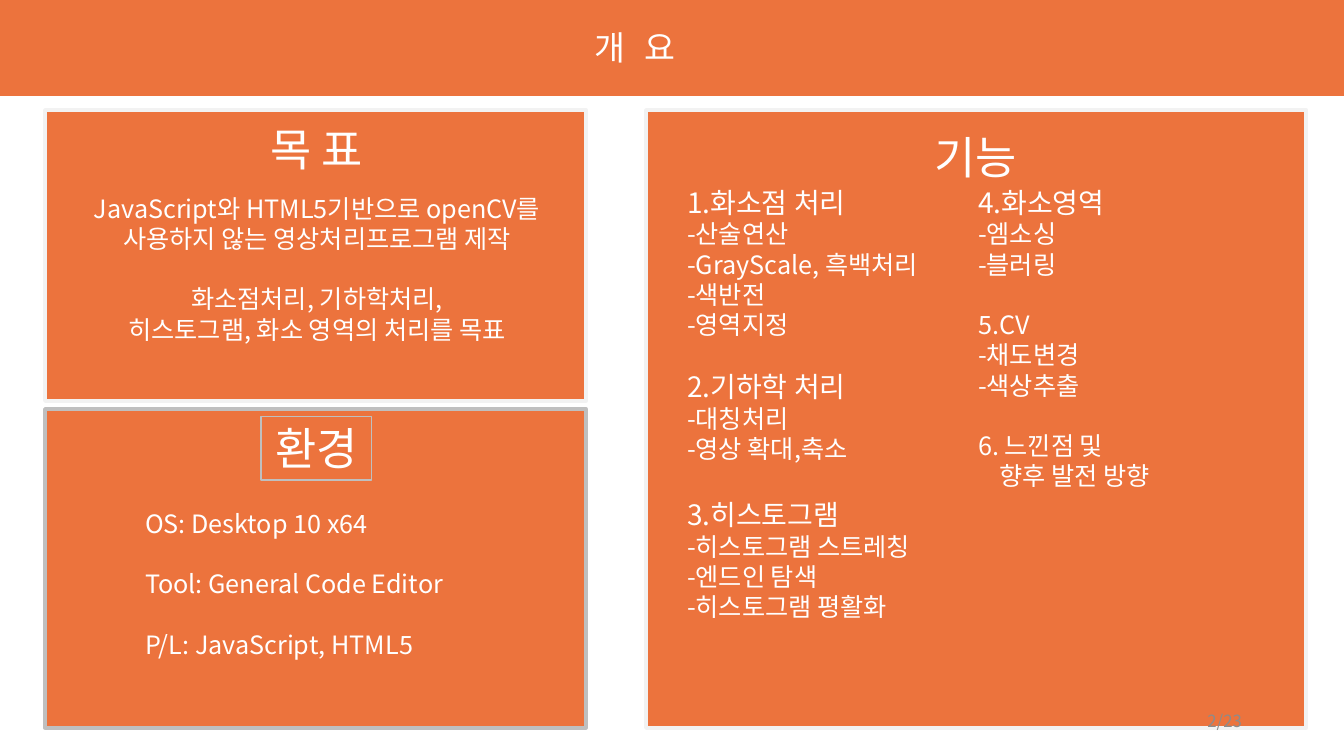
from lxml import etree
from pptx import Presentation
from pptx import util as u
from pptx.dml.color import RGBColor
from pptx.enum import shapes, text
from pptx.oxml.ns import qn

ORANGE, WHITE, PALE, SILVER, GRAY = "EC733D", "FFFFFF", "F2F2F2", "BFBFBF", "8C8C8C"
FONT = "Noto Sans CJK KR"
PX = 914400 / 100.8
LEFT, MID, RIGHT = text.PP_ALIGN.LEFT, text.PP_ALIGN.CENTER, text.PP_ALIGN.RIGHT


def block(x, y, w, h, fill, edge=None, width=1):
    rect = deck.shapes.add_shape(
        shapes.MSO_SHAPE.RECTANGLE, *[round(v * PX) for v in (x, y, w, h)])
    rect.shadow.inherit = False
    rect.fill.solid()
    rect.fill.fore_color.rgb = RGBColor.from_string(fill)
    if edge:
        rect.line.color.rgb = RGBColor.from_string(edge)
        rect.line.width = u.Pt(width)
    else:
        rect.line.fill.background()
    return rect


def write(shape, lines, align=LEFT, color=WHITE, wrap=True, anchor="TOP"):
    """Each line is (text, size, gap before in points, left indent in px)."""
    frame = shape.text_frame
    frame.auto_size = text.MSO_AUTO_SIZE.NONE
    frame.word_wrap = wrap
    frame.vertical_anchor = text.MSO_ANCHOR[anchor]
    for i, (words, size, gap, indent) in enumerate(lines):
        para = frame.add_paragraph() if i else frame.paragraphs[0]
        para.text = words
        para.alignment = align
        para.space_before = u.Pt(gap)
        para.line_spacing = u.Pt(size * 1.2)
        props = para._p.get_or_add_pPr()
        props.set("marL", str(round(indent * PX)))
        props.set("indent", "0")
        etree.SubElement(props, qn("a:buNone"))
        if "\t" in words:
            tabs = etree.SubElement(props, qn("a:tabLst"))
            etree.SubElement(tabs, qn("a:tab"), pos=str(round(126 * PX)), algn="l")
        font = para.font
        font.size = u.Pt(size)
        font.bold = False
        font.color.rgb = RGBColor.from_string(color)
        font.name = FONT
        etree.SubElement(font._rPr, qn("a:ea"), typeface=FONT)


prs = Presentation()
prs.slide_width, prs.slide_height = round(1344 * PX), round(756 * PX)
deck = prs.slides.add_slide(prs.slide_layouts[4])

# Title band and panels
block(0, 0, 1347, 95, ORANGE, ORANGE)
block(45, 110, 541, 291, ORANGE, PALE, 2.5)
block(45, 409, 541, 319, ORANGE, SILVER, 2.5)
block(646, 110, 660, 618, ORANGE, PALE, 2.5)

# Panel headings
for words, x, y, edge in [("목 표", 261, 117, None), ("환경", 261, 416, SILVER),
                          ("기능", 920, 125, None)]:
    head = block(x, y, 111, 64, ORANGE, edge, 0.75)
    write(head, [(words, 32, 0, 0)], MID, wrap=False, anchor="MIDDLE")

# Title and lists: place, alignment, lines
goal = [("JavaScript와 HTML5기반으로 openCV를", 18, 0, 0),
        ("사용하지 않는 영상처리프로그램 제작", 18, 0, 0),
        ("화소점처리, 기하학처리,", 18, 21.6, 0),
        ("히스토그램, 화소 영역의 처리를 목표", 18, 0, 0)]
setup = [("OS: Desktop 10 x64", 18, 0, 0),
         ("Tool: General Code Editor", 18, 21.6, 0),
         ("P/L: JavaScript, HTML5", 18, 21.6, 0)]
first = [("1.화소점 처리", 20, 0, 0), ("-산술연산", 18, 0, 0),
         ("-GrayScale, 흑백처리", 18, 0, 0), ("-색반전", 18, 0, 0),
         ("-영역지정", 18, 0, 0),
         ("2.기하학 처리", 20, 21.6, 0), ("-대칭처리", 18, 0, 0),
         ("-영상 확대,축소", 18, 0, 0),
         ("3.히스토그램", 20, 24, 0), ("-히스토그램 스트레칭", 18, 0, 0),
         ("-엔드인 탐색", 18, 0, 0), ("-히스토그램 평활화", 18, 0, 0)]
second = [("4.화소영역", 20, 0, 0), ("-엠소싱", 18, 0, 0), ("-블러링", 18, 0, 0),
          ("5.CV", 18, 21.6, 0), ("-채도변경", 18, 0, 0), ("-색상추출", 18, 0, 0),
          ("6. 느낀점 및", 18, 21.6, 0), ("향후 발전 방향", 18, 0, 21)]
parts = [((584, 22, 202, 50), LEFT, [("개\t요", 24, 0, 0)]),
         ((70, 188, 494, 194), MID, goal),
         ((135, 503, 363, 163), LEFT, setup),
         ((677, 180, 292, 482), LEFT, first),
         ((968, 180, 312, 482), LEFT, second)]
for holder, (box, align, lines) in zip(list(deck.placeholders), parts):
    holder.left, holder.top, holder.width, holder.height = [round(v * PX) for v in box]
    write(holder, lines, align)
    deck.shapes._spTree.append(holder._element)  # bring in front of the panels

# Page number
page = deck.shapes.add_textbox(*[round(v * PX) for v in (950, 700, 302, 41)])
write(page, [("2/23", 12, 0, 0)], RIGHT, GRAY, anchor="MIDDLE")

prs.save("out.pptx")
